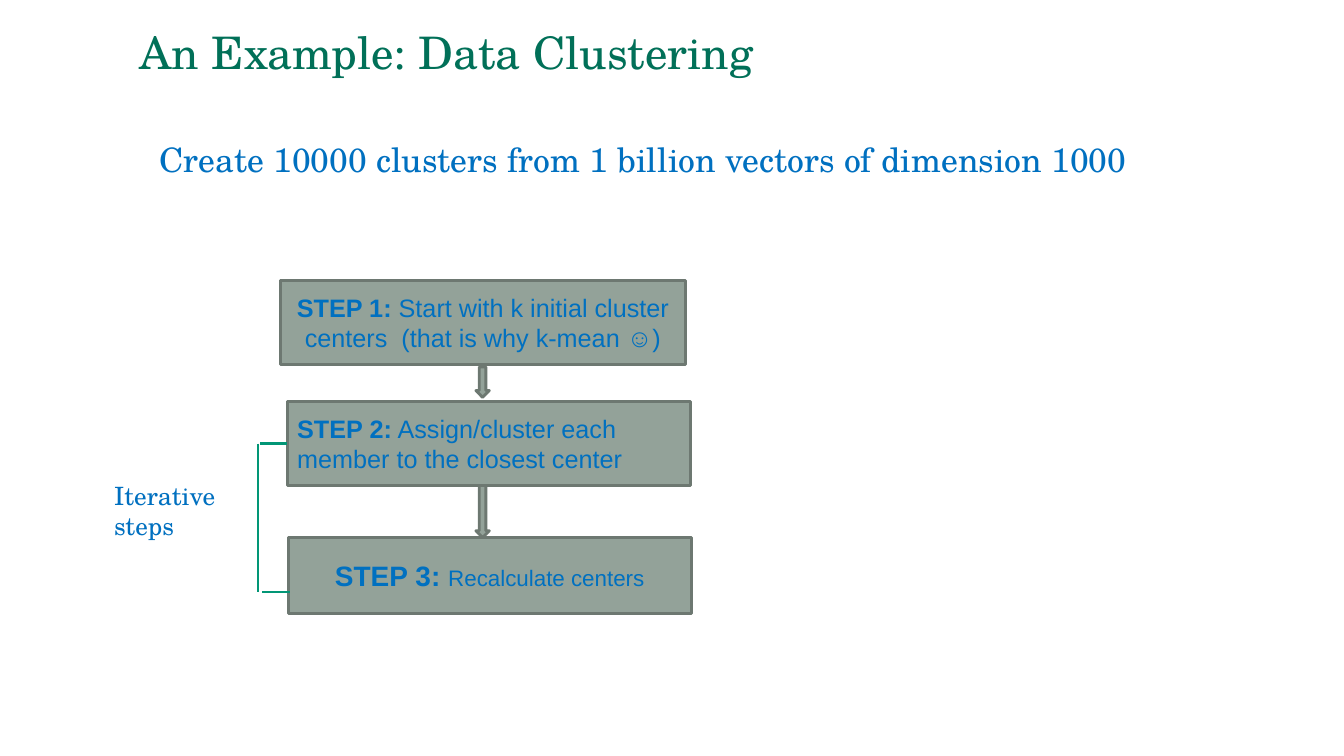
from lxml.etree import SubElement
from pptx import Presentation
from pptx.dml.color import RGBColor
from pptx.enum.shapes import MSO_CONNECTOR, MSO_SHAPE
from pptx.enum.text import MSO_ANCHOR, MSO_AUTO_SIZE, PP_ALIGN
from pptx.oxml.ns import qn
from pptx.util import Inches, Pt

GREEN = RGBColor(0x01, 0x70, 0x58)
BLUE = RGBColor(0x00, 0x70, 0xC0)
SAGE = RGBColor(0x93, 0xA2, 0x99)
EDGE = RGBColor(0x6D, 0x78, 0x71)
TEAL = RGBColor(0x02, 0x96, 0x76)
SERIF, SANS = "TeX Gyre Schola", "Arial"
WIDTH, HEIGHT = Inches(13.33), Inches(7.5)
COLS, ROWS = 160, 90


class Board:
    """Draws on one slide; places are in columns and rows of the grid."""

    def __init__(self, deck):
        self.slide = deck.slides.add_slide(deck.slide_layouts[5])
        self.shapes = self.slide.shapes

    def place(self, x, y):
        return round(x * WIDTH / COLS), round(y * HEIGHT / ROWS)

    def area(self, x, y, wide, high):
        return *self.place(x, y), *self.place(wide, high)

    def style(self, para, face, color, size=None, align=PP_ALIGN.LEFT):
        para.alignment = align
        para.font.name = face
        para.font.color.rgb = color
        if size:
            para.font.size = Pt(size)

    def title(self, text, *area):
        shape = self.shapes.title
        shape.left, shape.top, shape.width, shape.height = self.area(*area)
        frame = shape.text_frame
        frame.text = text
        frame.vertical_anchor = MSO_ANCHOR.MIDDLE
        para = frame.paragraphs[0]
        para.line_spacing = 0.9
        self.style(para, SERIF, GREEN, 32)

    def label(self, text, size, *area, wrap=True):
        frame = self.shapes.add_textbox(*self.area(*area)).text_frame
        frame.text = text
        frame.word_wrap = wrap
        frame.auto_size = MSO_AUTO_SIZE.SHAPE_TO_FIT_TEXT
        self.style(frame.paragraphs[0], SERIF, BLUE, size)

    def block(self, kind, *area):
        shape = self.shapes.add_shape(kind, *self.area(*area))
        shape.shadow.inherit = False
        shape.fill.solid()
        shape.fill.fore_color.rgb = SAGE
        shape.line.color.rgb = EDGE
        shape.line.width = Pt(2.08)
        return shape

    def step(self, head, body, sizes, align, *area):
        shape = self.block(MSO_SHAPE.RECTANGLE, *area)
        frame = shape.text_frame
        frame.word_wrap = True
        frame.vertical_anchor = MSO_ANCHOR.MIDDLE
        para = frame.paragraphs[0]
        self.style(para, SANS, BLUE, align=align)
        for text, size, bold in zip((head, body), sizes, (True, False)):
            run = para.add_run()
            run.text = text
            run.font.size = Pt(size)
            run.font.bold = bold
        return shape

    def rule(self, start, end):
        line = self.shapes.add_connector(
            MSO_CONNECTOR.STRAIGHT, *self.place(*start), *self.place(*end))
        line.line.color.rgb = TEAL
        line.line.width = Pt(1.5)
        SubElement(line._element.spPr, qn("a:effectLst"))
        return line


def main():
    deck = Presentation()
    deck.slide_width, deck.slide_height = WIDTH, HEIGHT
    board = Board(deck)
    board.title("An Example: Data Clustering", 15.4, 3, 129.6, 7.1)
    board.label("Create 10000 clusters from 1 billion vectors of dimension 1000",
                24, 17.8, 16, 118.6, 6, wrap=False)

    board.step("STEP 1:", " Start with k initial cluster centers  (that is why k-mean ☺)",
               (18, 18), PP_ALIGN.CENTER, 33.4, 33.4, 48.2, 10)
    assign = board.step("STEP 2:", " Assign/cluster each member to the closest center",
                        (18, 18), PP_ALIGN.LEFT, 34.2, 47.8, 48, 10)
    board.step("STEP 3: ", "Recalculate centers",
               (20, 16), PP_ALIGN.CENTER, 34.3, 64, 48, 9)

    for top, high in ((43.7, 3.6), (57.8, 6.2)):
        board.block(MSO_SHAPE.DOWN_ARROW, 56.65, top, 1.6, high)

    upper, lower, rail = 52.8, 70.5, 30.75
    board.rule((34.2, upper), (31, upper)).begin_connect(assign, 1)
    board.rule((34.5, lower), (31.2, lower))
    board.rule((rail, upper), (rail, lower))
    board.label("Iterative steps", 18, 12.4, 56.6, 15.8, 8.5)
    deck.save("out.pptx")


if __name__ == "__main__":
    main()
